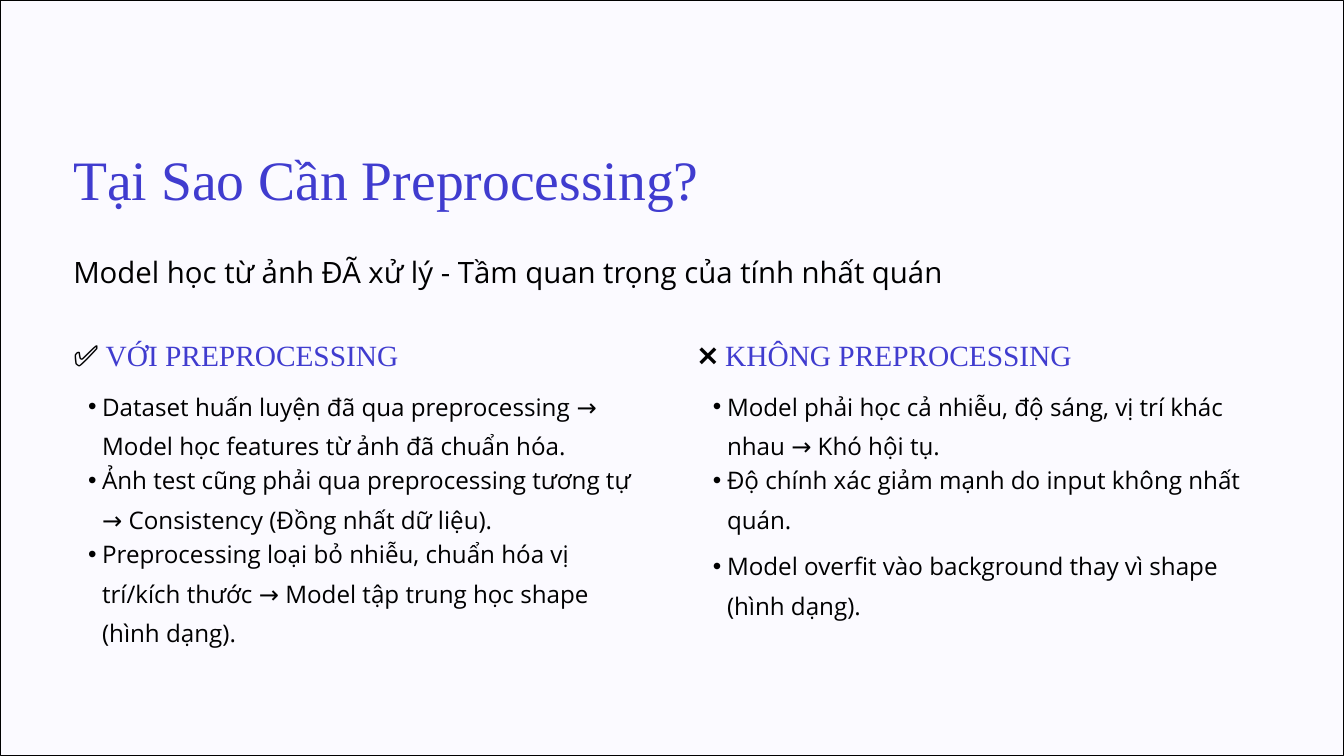
from dataclasses import dataclass

from lxml import etree
from pptx import Presentation
from pptx.dml.color import RGBColor
from pptx.enum.shapes import MSO_SHAPE
from pptx.enum.text import MSO_ANCHOR, MSO_AUTO_SIZE, PP_ALIGN
from pptx.oxml.ns import qn
from pptx.util import Cm, Pt

RECTANGLE = MSO_SHAPE.RECTANGLE
TOP = MSO_ANCHOR.TOP
NO_AUTOFIT = MSO_AUTO_SIZE.NONE
LEFT = PP_ALIGN.LEFT

COLORS = {"paper": "FBFAFF", "ink": "000000", "accent": "403CCF"}
SERIF = "Times New Roman"
SANS = "Open Sans"

PAGE_WIDTH, PAGE_HEIGHT = 50.8, 28.58
MARGIN = 2.77
COLUMN_WIDTH = 21.69
HEADING_TOP = 12.67
BULLET_TOP, BULLET_STEP = 14.43, 2.79
BULLET_INDENT, BULLET_HANGING = 1.09, 0.53


@dataclass
class Style:
    font: str
    size: float
    spacing: float


@dataclass
class Span:
    text: str
    color: str = "ink"


@dataclass
class Bullet:
    text: str
    lines: int = 2
    shift: float = 0


@dataclass
class Column:
    left: float
    mark: str
    heading: str
    bullets: list[Bullet]


TITLE = Style(SERIF, 59.6, 74.4)
SUBTITLE = Style(SANS, 31.5, 50.8)
HEADING = Style(SERIF, 31.5, 39.4)
BODY = Style(SANS, 25.9, 42.1)

COLUMNS = [
    Column(MARGIN, "✅", " VỚI PREPROCESSING", [
        Bullet("Dataset huấn luyện đã qua preprocessing → "
               "Model học features từ ảnh đã chuẩn hóa."),
        Bullet("Ảnh test cũng phải qua preprocessing tương tự "
               "→ Consistency (Đồng nhất dữ liệu)."),
        Bullet("Preprocessing loại bỏ nhiễu, chuẩn hóa vị trí/kích thước "
               "→ Model tập trung học shape (hình dạng).", lines=3),
    ]),
    Column(26.39, "❌", " KHÔNG PREPROCESSING", [
        Bullet("Model phải học cả nhiễu, độ sáng, vị trí khác nhau "
               "→ Khó hội tụ."),
        Bullet("Độ chính xác giảm mạnh do input không nhất quán."),
        Bullet("Model overfit vào background thay vì shape (hình dạng).",
               shift=0.46),
    ]),
]


def place(box, left: float, top: float, width: float, height: float) -> None:
    box.left, box.top = Cm(left), Cm(top)
    box.width, box.height = Cm(width), Cm(height)


def add_bullet_mark(para) -> None:
    para.level = 1
    properties = para._p.get_or_add_pPr()
    properties.set("marL", str(Cm(BULLET_INDENT)))
    properties.set("indent", str(-Cm(BULLET_HANGING)))
    etree.SubElement(properties, qn("a:buFont")).set("typeface", "Arial")
    etree.SubElement(properties, qn("a:buChar")).set("char", "•")


def write(box, spans: list[Span], style: Style, bulleted: bool = False) -> None:
    frame = box.text_frame
    frame.word_wrap = True
    frame.auto_size = NO_AUTOFIT
    frame.vertical_anchor = TOP
    frame.margin_left = frame.margin_right = 0
    frame.margin_top = frame.margin_bottom = 0
    para = frame.paragraphs[0]
    if bulleted:
        add_bullet_mark(para)
    para.alignment = LEFT
    para.line_spacing = Pt(style.spacing)
    para.space_before = Pt(0)
    for span in spans:
        run = para.add_run()
        run.text = span.text
        run.font.name = style.font
        run.font.size = Pt(style.size)
        run.font.color.rgb = RGBColor.from_string(COLORS[span.color])


def add_text(page, left: float, top: float, width: float, height: float,
             spans: list[Span], style: Style, bulleted: bool = False) -> None:
    box = page.shapes.add_textbox(Cm(left), Cm(top), Cm(width), Cm(height))
    write(box, spans, style, bulleted)


def add_backdrop(page) -> None:
    panel = page.shapes.add_shape(RECTANGLE, 0, 0, Cm(PAGE_WIDTH), Cm(PAGE_HEIGHT))
    panel.shadow.inherit = False
    panel.fill.solid()
    panel.fill.fore_color.rgb = RGBColor.from_string(COLORS["paper"])
    panel.line.color.rgb = RGBColor.from_string(COLORS["ink"])
    panel.line.width = Pt(1)
    # Keep the panel behind the title
    page.shapes.title.element.addprevious(panel.element)


def add_column(page, column: Column) -> None:
    add_text(page, column.left, HEADING_TOP, COLUMN_WIDTH, 1.37,
             [Span(column.mark), Span(column.heading, "accent")], HEADING)
    for index, bullet in enumerate(column.bullets):
        top = BULLET_TOP + index * BULLET_STEP + bullet.shift
        height = bullet.lines * 1.45
        add_text(page, column.left, top, COLUMN_WIDTH, height,
                 [Span(bullet.text)], BODY, bulleted=True)


def main() -> None:
    deck = Presentation()
    deck.slide_width, deck.slide_height = Cm(PAGE_WIDTH), Cm(PAGE_HEIGHT)
    page = deck.slides.add_slide(deck.slide_layouts[5])

    # Background
    page.background.fill.solid()
    page.background.fill.fore_color.rgb = RGBColor.from_string(COLORS["ink"])
    add_backdrop(page)

    # Title and subtitle
    place(page.shapes.title, MARGIN, 5.36, 29.57, 2.59)
    write(page.shapes.title, [Span("Tại Sao Cần Preprocessing?", "accent")], TITLE)
    add_text(page, MARGIN, 9.14, 45.29, 1.65,
             [Span("Model học từ ảnh ĐÃ xử lý - Tầm quan trọng của tính nhất quán")],
             SUBTITLE)

    # Comparison columns
    for column in COLUMNS:
        add_column(page, column)

    deck.save("out.pptx")


if __name__ == "__main__":
    main()
